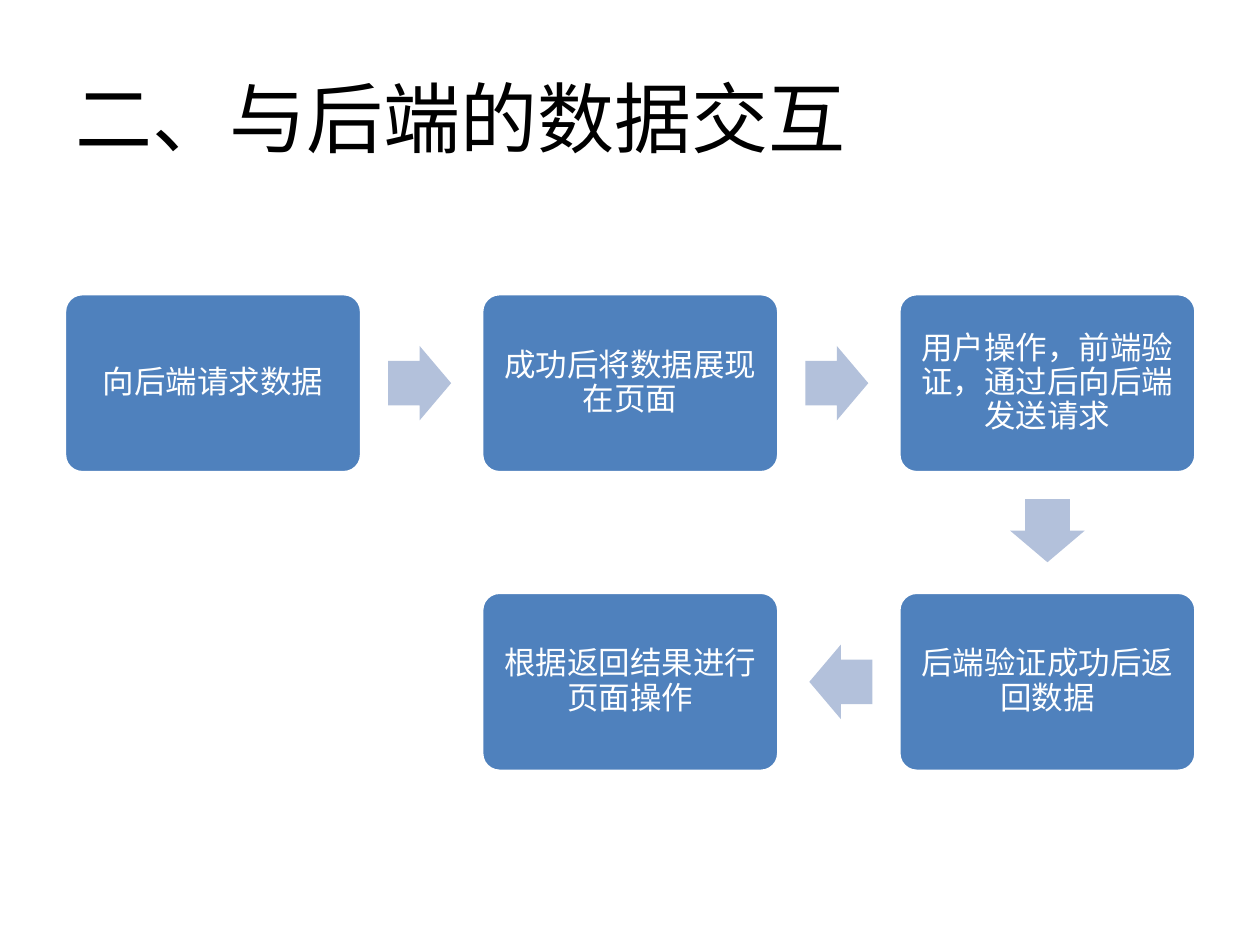
from dataclasses import dataclass

from lxml import etree
from pptx import Presentation
from pptx.dml.color import RGBColor
from pptx.enum import shapes, text
from pptx.oxml import ns
from pptx.util import Cm, Pt

FONT = "Noto Sans CJK SC"
COLORS = {"title": "000000", "step": "4F81BD", "arrow": "B3C1DB", "white": "FFFFFF"}

# Grid, in centimetres
LEFT, TOP = 1.3, 5.92
STEP_W, STEP_H = 5.99, 3.61
PITCH_X, PITCH_Y = 8.41, 6.02
ARROW_W, ARROW_H = 1.27, 1.5
ARROW_REACH = 1.17  # from the edge of a step to the middle of its arrow


@dataclass(frozen=True)
class Step:
    label: str
    column: int
    row: int

    @property
    def center(self) -> tuple[float, float]:
        return (LEFT + self.column * PITCH_X + STEP_W / 2,
                TOP + self.row * PITCH_Y + STEP_H / 2)


STEPS = [
    Step("向后端请求数据", 0, 0),
    Step("成功后将数据展现在页面", 1, 0),
    Step("用户操作，前端验证，通过后向后端发送请求", 2, 0),
    Step("后端验证成功后返回数据", 2, 1),
    Step("根据返回结果进行页面操作", 1, 1),
]


def color(name: str) -> RGBColor:
    return RGBColor.from_string(COLORS[name])


def write(frame, words: str, *, size: int, ink: str, align, spacing: float = 1.0) -> None:
    """Put one formatted paragraph in a text frame."""
    frame.word_wrap = True
    frame.vertical_anchor = text.MSO_ANCHOR.MIDDLE
    paragraph = frame.paragraphs[0]
    paragraph.alignment = align
    paragraph.line_spacing = spacing
    run = paragraph.add_run()
    run.text = words
    run.font.size = Pt(size)
    run.font.name = FONT
    run.font.color.rgb = color(ink)
    # East Asian characters take their own typeface
    etree.SubElement(run.font._element, ns.qn("a:ea"), typeface=FONT)


def add_centered(slide, kind, center: tuple[float, float], width: float, height: float,
                 fill: str):
    x, y = center
    part = slide.shapes.add_shape(kind, Cm(x - width / 2), Cm(y - height / 2),
                                  Cm(width), Cm(height))
    part.shadow.inherit = False
    part.fill.solid()
    part.fill.fore_color.rgb = color(fill)
    return part


def draw_step(slide, step: Step) -> None:
    box = add_centered(slide, shapes.MSO_SHAPE.ROUNDED_RECTANGLE, step.center,
                       STEP_W, STEP_H, "step")
    box.adjustments[0] = 0.1
    box.line.color.rgb = color("white")
    box.line.width = Pt(2)
    frame = box.text_frame
    frame.margin_left = frame.margin_right = Cm(0.18)
    frame.margin_top = frame.margin_bottom = Cm(0.18)
    write(frame, step.label, size=18, ink="white", align=text.PP_ALIGN.CENTER, spacing=0.9)


def draw_arrow(slide, start: Step, end: Step) -> None:
    dx, dy = end.column - start.column, end.row - start.row
    x, y = start.center
    center = (x + dx * (STEP_W / 2 + ARROW_REACH), y + dy * (STEP_H / 2 + ARROW_REACH))
    arrow = add_centered(slide, shapes.MSO_SHAPE.RIGHT_ARROW, center,
                         ARROW_W, ARROW_H, "arrow")
    arrow.adjustments[0] = 0.6
    arrow.adjustments[1] = 0.5
    arrow.line.fill.background()
    arrow.rotation = {(1, 0): 0, (0, 1): 90, (-1, 0): 180}[dx, dy]


def main() -> None:
    deck = Presentation()
    deck.slide_width, deck.slide_height = Cm(25.4), Cm(19.05)
    slide = deck.slides.add_slide(deck.slide_layouts[5])

    # Title
    title = slide.shapes.title
    title.left, title.top, title.width, title.height = Cm(1.27), Cm(0.76), Cm(22.86), Cm(3.18)
    write(title.text_frame, "二、与后端的数据交互", size=44, ink="title",
          align=text.PP_ALIGN.LEFT)

    # Process flow
    for step in STEPS:
        draw_step(slide, step)
    for start, end in zip(STEPS, STEPS[1:]):
        draw_arrow(slide, start, end)

    deck.save("out.pptx")


if __name__ == "__main__":
    main()
